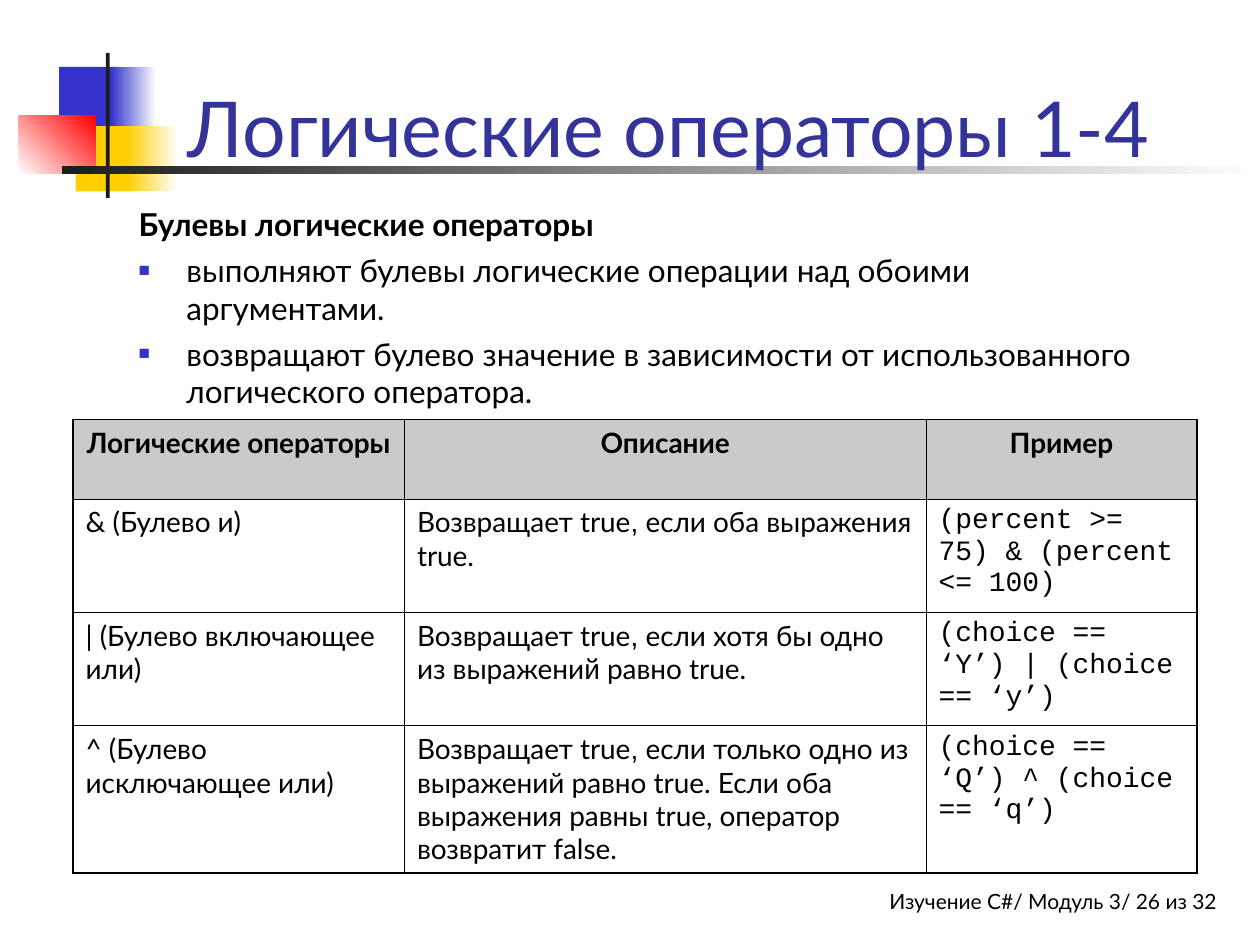
from lxml import etree
from pptx import Presentation
from pptx.dml.color import RGBColor
from pptx.enum.shapes import MSO_SHAPE
from pptx.enum.text import MSO_ANCHOR, MSO_AUTO_SIZE, PP_ALIGN
from pptx.oxml import parse_xml
from pptx.oxml.ns import nsdecls, qn
from pptx.util import Inches, Pt


def rgb(color):
    return RGBColor.from_string(color)


def style(font, size, color="000000", name="Lato", bold=False):
    font.size = Pt(size)
    font.name = name
    font.bold = bold
    font.color.rgb = rgb(color)


prs = Presentation()
prs.slide_width, prs.slide_height = Inches(10), Inches(7.5)
slide = prs.slides.add_slide(prs.slide_layouts[1])

# Coloured blocks and rule behind the title: box, first colour, last colour, angle
motif = slide.shapes.add_group_shape()
blocks = [
    ((0.47, 0.53, 0.48, 0.52), "3333CC", None, 0),
    ((0.88, 0.53, 0.36, 0.52), "3333CC", "FFFFFF", 0),
    ((0.6, 1, 0.46, 0.52), "FFCF01", None, 0),
    ((1.01, 1, 0.4, 0.52), "FFCF01", "FFFFFF", 0),
    ((0.15, 0.92, 0.61, 0.46), "FFFFFF", "FF0000", 45),
    ((0.84, 0.42, 0.03, 1.15), "1C1C1C", None, 0),
    ((0.49, 1.32, 9.51, 0.06), "1C1C1C", "FFFFFF", 0),
]
for box, first, last, angle in blocks:
    block = motif.shapes.add_shape(MSO_SHAPE.RECTANGLE, *map(Inches, box))
    block.shadow.inherit = False
    block.line.fill.background()
    if last:
        block.fill.gradient()
        block.fill.gradient_angle = angle
        for stop, color in zip(block.fill.gradient_stops, (first, last)):
            stop.color.rgb = rgb(color)
    else:
        block.fill.solid()
        block.fill.fore_color.rgb = rgb(first)
slide.shapes._spTree.insert(2, motif._element)

# Title
title = slide.shapes.title
title.left, title.top, title.width, title.height = map(Inches, (1.39, 0.17, 8.52, 1.25))
title.text_frame.text = "Логические операторы 1-4"
title.text_frame.auto_size = MSO_AUTO_SIZE.NONE
title.text_frame.vertical_anchor = MSO_ANCHOR.BOTTOM
title.text_frame.paragraphs[0].alignment = PP_ALIGN.LEFT
style(title.text_frame.paragraphs[0].runs[0].font, 44, "333399")

# Heading and bullets
body = slide.placeholders[1]
body.left, body.top, body.width, body.height = map(Inches, (1, 1.58, 8.33, 2.33))
body.text_frame.text = "\n".join([
    "Булевы логические операторы",
    "выполняют булевы логические операции над обоими аргументами.",
    "возвращают булево значение в зависимости от использованного логического оператора.",
])
body.text_frame.auto_size = MSO_AUTO_SIZE.NONE
for i, paragraph in enumerate(body.text_frame.paragraphs):
    paragraph.space_before = Pt(4.5 if i else 0)
    pPr = paragraph._p.get_or_add_pPr()
    pPr.set("marL", str(Inches(0.38)))
    pPr.set("indent", str(-Inches(0.38)))
    if i:
        bullet_color = etree.SubElement(pPr, qn("a:buClr"))
        etree.SubElement(bullet_color, qn("a:srgbClr"), val="3333CC")
        etree.SubElement(pPr, qn("a:buSzPct"), val="60000")
        etree.SubElement(pPr, qn("a:buFont"), typeface="Arial")
        etree.SubElement(pPr, qn("a:buChar"), char="■")
    else:
        etree.SubElement(pPr, qn("a:buNone"))
    style(paragraph.runs[0].font, 18, bold=i == 0)

# Operator table; pieces of a description alternate between Lato and Arial
rows = [
    (["Логические операторы"], ["Описание"], ["Пример"]),
    (["& (Булево и)"],
     ["Возвращает true", ",", " если оба выражения true."],
     ["(percent >= 75) & (percent <= 100)"]),
    (["| (Булево включающее или)"],
     ["Возвращает true", ",", " если хотя бы одно из выражени", "й", " равно true."],
     ["(choice == ‘Y’) | (choice == ‘y’)"]),
    (["^ (Булево исключающее или)"],
     ["Возвращает true", ",", " если только одно из выражений равно true. "
      "Если оба выражения равны true, оператор возвратит false."],
     ["(choice == ‘Q’) ^ (choice == ‘q’)"]),
]
table = slide.shapes.add_table(4, 3, *map(Inches, (0.58, 3.33, 8.92, 3.6))).table
table.first_row = table.horz_banding = False
for column, width in zip(table.columns, (2.63, 4.14, 2.15)):
    column.width = Inches(width)
for row, height in zip(table.rows, (0.63, 0.9, 0.9, 1.17)):
    row.height = Inches(height)

for r, row in enumerate(rows):
    for c, pieces in enumerate(row):
        cell = table.cell(r, c)
        paragraph = cell.text_frame.paragraphs[0]
        paragraph.alignment = PP_ALIGN.LEFT if r else PP_ALIGN.CENTER
        main_font = "Courier New" if r and c == 2 else "Lato"
        for i, piece in enumerate(pieces):
            run = paragraph.add_run()
            run.text = piece
            style(run.font, 16, name="Arial" if i % 2 else main_font, bold=r == 0)

        tcPr = cell._tc.get_or_add_tcPr()
        if r:
            cell.fill.background()
        else:
            cell.fill.solid()
            cell.fill.fore_color.rgb = rgb("969696")
            gray = tcPr.find(".//" + qn("a:srgbClr"))
            etree.SubElement(gray, qn("a:alpha"), val="50000")

        # Heavier lines on the outer edges
        outer = {"lnL": c == 0, "lnR": c == 2, "lnT": r == 0, "lnB": r == 3}
        for i, (side, is_outer) in enumerate(outer.items()):
            tcPr.insert(i, parse_xml(
                f'<a:{side} {nsdecls("a")} w="{Pt(1.08 if is_outer else 0.45)}">'
                f'<a:solidFill><a:srgbClr val="000000"/></a:solidFill></a:{side}>'))

# Page footer
footer = slide.shapes.add_textbox(*map(Inches, (4.58, 7, 5.08, 0.33)))
footer.text_frame.word_wrap = True
footer.text_frame.auto_size = MSO_AUTO_SIZE.SHAPE_TO_FIT_TEXT
footer.text_frame.margin_right = 0
footer.text_frame.text = "Изучение C#/ Модуль 3/ 26 из 32"
footer.text_frame.paragraphs[0].alignment = PP_ALIGN.RIGHT
style(footer.text_frame.paragraphs[0].runs[0].font, 12)

prs.save("out.pptx")
